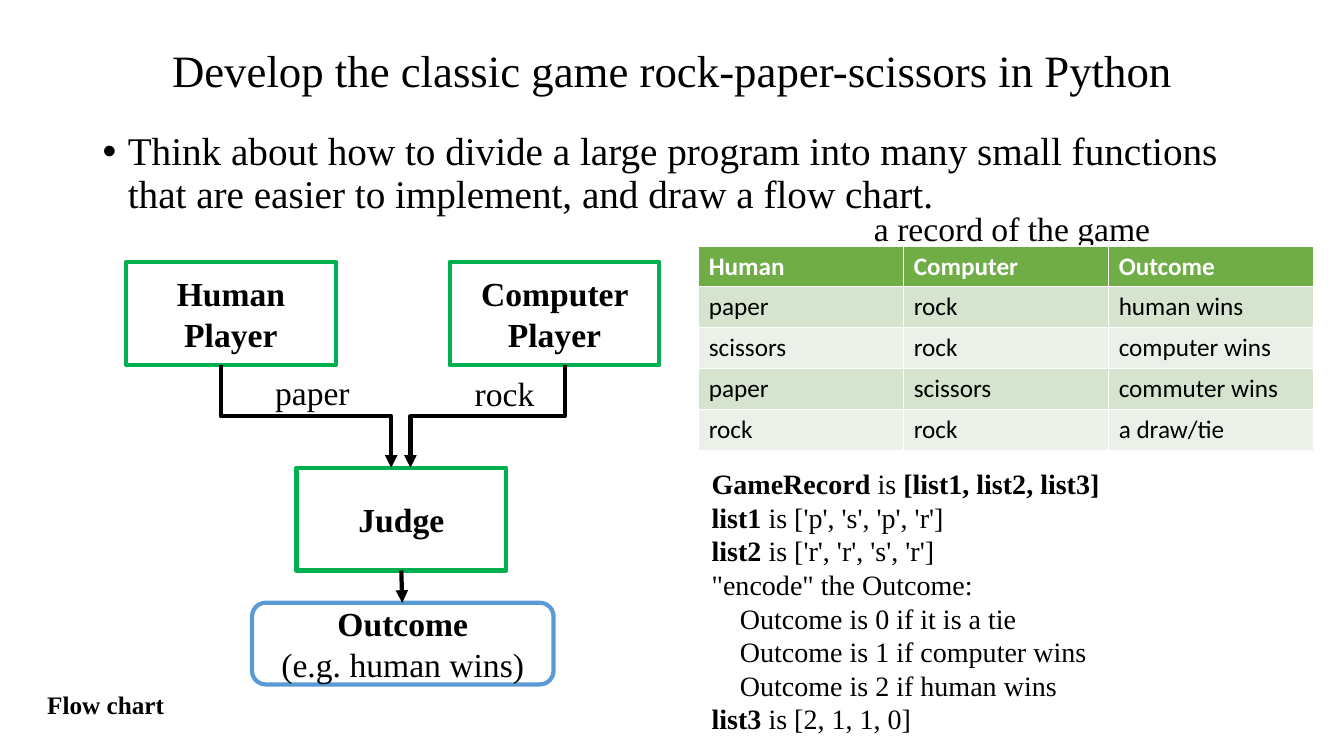
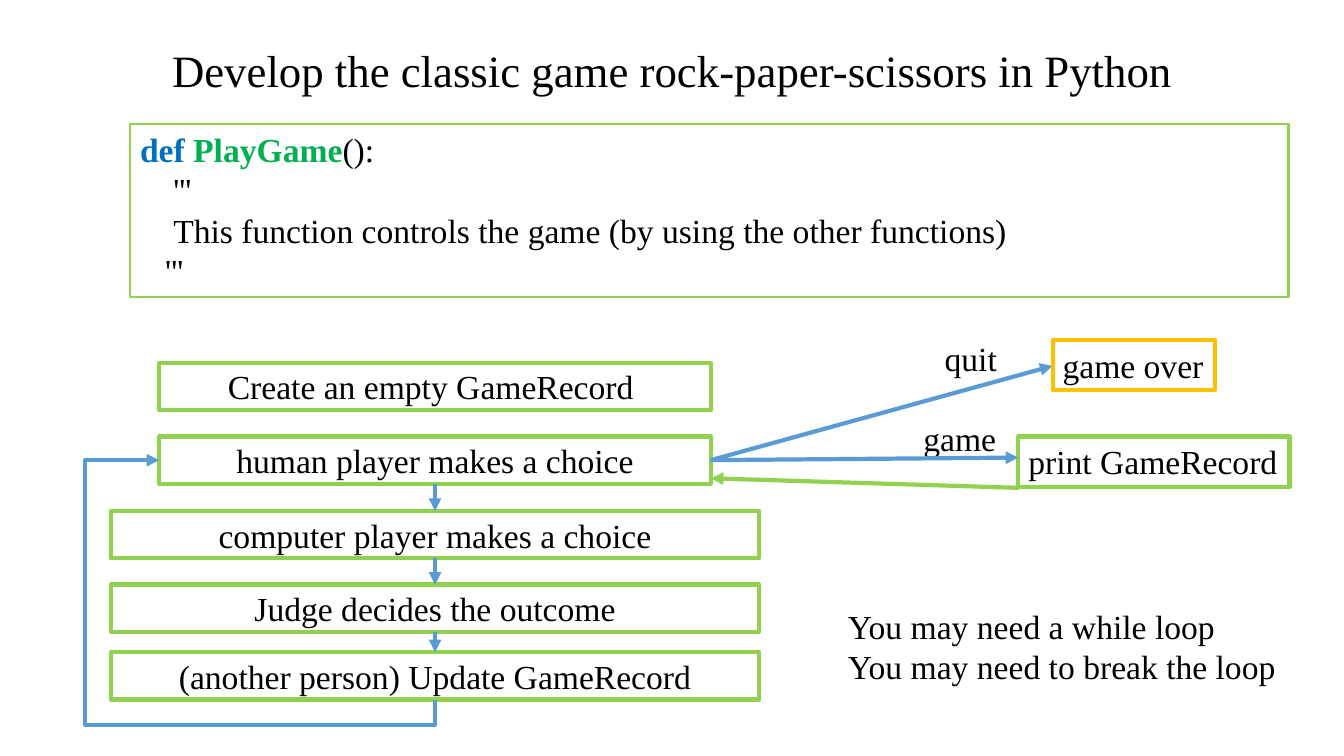
from pptx import Presentation
from pptx.dml.color import RGBColor
from pptx.enum.shapes import MSO_CONNECTOR, MSO_SHAPE
from pptx.enum.text import MSO_ANCHOR, MSO_AUTO_SIZE, PP_ALIGN
from pptx.oxml.ns import qn
from pptx.util import Inches, Pt
from lxml.etree import SubElement

BLACK, WHITE = "000000", "FFFFFF"
GREEN, LIME, BLUE, GOLD = "00B050", "92D050", "5B9BD5", "FFC000"
KEYWORD, HEADER, BAND_DARK, BAND_LIGHT = "0070C0", "70AD47", "D5E3CF", "EBF1E9"
SERIF, SANS = "Times New Roman", "Calibri"
BOLD = {"bold": True}
CENTER = {"alignment": PP_ALIGN.CENTER}
MIDDLE = {"vertical_anchor": MSO_ANCHOR.MIDDLE}
FIT = {"word_wrap": False, "auto_size": MSO_AUTO_SIZE.SHAPE_TO_FIT_TEXT}
TITLE = "Develop the classic game rock-paper-scissors in Python"


def rgb(hex_color):
    return RGBColor.from_string(hex_color)


def apply(target, values):
    for name, value in values.items():
        setattr(target, name, value)


# Text: each line is a string or a list of (text, font values) runs
def write(frame, lines, size=24, font=None, para=None, layout=None, indents=None):
    apply(frame, {"word_wrap": True, **(layout or {})})
    for index, line in enumerate(lines):
        paragraph = frame.paragraphs[0] if index == 0 else frame.add_paragraph()
        apply(paragraph, para or {})
        if indents and indents[index]:
            paragraph._p.get_or_add_pPr().set("marL", str(Inches(indents[index])))
        for text, extra in [(line, {})] if isinstance(line, str) else line:
            run = paragraph.add_run()
            run.text = text
            values = {"name": SERIF, "size": Pt(size), "color": BLACK,
                      **(font or {}), **extra}
            run.font.color.rgb = rgb(values.pop("color"))
            apply(run.font, values)


def add_text(slide, box, lines, **style):
    text_box = slide.shapes.add_textbox(*map(Inches, box))
    write(text_box.text_frame, lines, **style)
    return text_box


def add_label(slide, box, lines, **style):
    return add_text(slide, box, lines, layout=FIT, **style)


def add_box(slide, box, lines, color, width=3, preset=MSO_SHAPE.RECTANGLE, **style):
    shape = slide.shapes.add_shape(preset, *map(Inches, box))
    shape.shadow.inherit = False
    shape.fill.background()
    shape.line.color.rgb = rgb(color)
    shape.line.width = Pt(width)
    write(shape.text_frame, lines, **{"para": CENTER, "layout": MIDDLE, **style})


# Arrows
def add_arrow(slide, start, end, color, kind=MSO_CONNECTOR.STRAIGHT):
    arrow = slide.shapes.add_connector(kind, *map(Inches, (*start, *end)))
    arrow.line.color.rgb = rgb(color)
    arrow.line.width = Pt(3)
    SubElement(arrow.line._get_or_add_ln(), qn("a:tailEnd"), type="triangle")
    SubElement(arrow._element.spPr, qn("a:effectLst"))
    return arrow


def add_elbow(slide, start, end, color, turn, flip, preset="bentConnector3", adjust=()):
    """An elbow that leaves vertically: its frame is turned about its centre."""
    (x1, y1), (x2, y2) = start, end
    middle_x, middle_y = (x1 + x2) / 2, (y1 + y2) / 2
    half_w, half_h = abs(y2 - y1) / 2, abs(x2 - x1) / 2
    elbow = add_arrow(slide, (middle_x - half_w, middle_y - half_h),
                      (middle_x + half_w, middle_y + half_h), color, MSO_CONNECTOR.ELBOW)
    frame = elbow._element.spPr.find(qn("a:xfrm"))
    frame.set("rot", str(turn * 60000))
    if flip:
        frame.set("flipH", "1")
    geometry = elbow._element.spPr.find(qn("a:prstGeom"))
    geometry.set("prst", preset)
    for number, share in enumerate(adjust, 1):
        SubElement(geometry.find(qn("a:avLst")), qn("a:gd"), name=f"adj{number}",
                   fmla=f"val {round(share * 100000)}")


# Shared start of each slide
def new_slide(deck):
    slide = deck.slides.add_slide(deck.slide_layouts[6])
    add_text(slide, (0.92, 0, 11.5, 1.45), [TITLE], size=32, layout=MIDDLE,
             para={**CENTER, "line_spacing": 0.9})
    return slide


def task_bullet(slide, box):
    task = add_text(slide, box, [
        "Think about how to divide a large program into many small functions "
        "that are easier to implement, and draw a flow chart."],
        size=28, para={"line_spacing": 0.9, "space_before": Pt(10)}, indents=[0.25])
    properties = task.text_frame.paragraphs[0]._p.pPr
    properties.set("indent", str(-Inches(0.25)))
    SubElement(properties, qn("a:buFont"), typeface="Arial")
    SubElement(properties, qn("a:buChar"), char="\u2022")


def judge_chart(slide, box):
    left, top, width, height = box
    role_w, role_h = 2.08, 1.02
    judge_x, judge_y = left + 1.69, top + 2.04
    outcome_y = top + 3.38

    # Roles
    for x, y, role in ((left, top, "Human Player"),
                       (left + width - role_w, top, "Computer Player"),
                       (judge_x, judge_y, "Judge")):
        add_box(slide, (x, y, role_w, role_h), [role], GREEN, font=BOLD)

    # Choices handed to the judge
    add_elbow(slide, (left + 0.94, top + role_h), (judge_x + 0.94, judge_y),
              BLACK, 270, True)
    add_elbow(slide, (left + 4.35, top + role_h), (judge_x + 1.13, judge_y),
              BLACK, 90, False)
    add_label(slide, (left + 1.38, top + 1.04, 0.95, 0.5), ["paper"])
    add_label(slide, (left + 3.36, top + 1.05, 0.8, 0.5), ["rock"])

    # Outcome
    add_box(slide, (left + 1.25, outcome_y, 2.99, height - 3.38),
            [[("Outcome", BOLD)], "(e.g. human wins)"], BLUE,
            preset=MSO_SHAPE.ROUNDED_RECTANGLE)
    add_arrow(slide, (judge_x + role_w / 2, judge_y + role_h),
              (left + 2.74, outcome_y), BLACK)
    add_label(slide, (left - 0.88, top + 4.19, 1.37, 0.4), ["Flow chart"],
              size=18, font=BOLD)


def record_table(slide, box):
    left, top, width, height = box
    add_label(slide, (left + 1.64, top - 0.43, 2.96, 0.5), ["a record of the game"])
    rounds = [("Human", "Computer", "Outcome"),
              ("paper", "rock", "human wins"),
              ("scissors", "rock", "computer wins"),
              ("paper", "scissors", "commuter wins"),
              ("rock", "rock", "a draw/tie")]
    record = slide.shapes.add_table(len(rounds), 3, *map(Inches, box)).table
    for column in record.columns:
        column.width = Inches(width / 3)
    for r, entries in enumerate(rounds):
        record.rows[r].height = Inches(height / len(rounds))
        band = HEADER if r == 0 else BAND_DARK if r % 2 else BAND_LIGHT
        for c, entry in enumerate(entries):
            cell = record.cell(r, c)
            cell.fill.solid()
            cell.fill.fore_color.rgb = rgb(band)
            write(cell.text_frame, [entry], size=18, font={
                "name": SANS, "bold": r == 0, "color": BLACK if r else WHITE})


def record_encoding(slide, box):
    add_label(slide, box, [
        [("GameRecord ", BOLD), ("is", {}), (" [list1, list2, list3]", BOLD)],
        [("list1 ", BOLD), ("is ['p', 's', 'p', 'r']", {})],
        [("list2 ", BOLD), ("is ['r', 'r', 's', 'r']", {})],
        '"encode" the Outcome:',
        "Outcome is 0 if it is a tie",
        "Outcome is 1 if computer wins",
        "Outcome is 2 if human wins",
        [("list3 ", BOLD), ("is [2, 1, 1, 0]", {})],
    ], size=20, indents=[0] * 4 + [0.28] * 3 + [0])


def play_game_code(slide, box):
    add_box(slide, box, [
        [("def ", {**BOLD, "color": KEYWORD}), ("PlayGame", {**BOLD, "color": GREEN}),
         ("():", {})],
        "'''",
        "This function controls the game (by using the other functions)",
        "'''",
    ], LIME, width=1.5, para={"alignment": PP_ALIGN.LEFT},
        layout={"vertical_anchor": MSO_ANCHOR.TOP}, indents=[0, 0.33, 0.33, 0.25])


def game_loop(slide, box):
    left, top, width, height = box
    step_h, inset = 0.47, 0.48
    center = left + width / 2
    human_y = top + 0.73
    human_mid = human_y + step_h / 2

    # Steps
    steps = [(0, inset, "Create an empty GameRecord "),
             (0.73, inset, "human player makes a choice"),
             (1.47, 0, "computer player makes a choice"),
             (2.2, 0, "Judge decides the outcome"),
             (height - step_h, 0, "(another person) Update GameRecord")]
    for offset, margin, step in steps:
        add_box(slide, (left + margin, top + offset, width - 2 * margin, step_h),
                [step], LIME)
    for (above, *_), (below, *_) in zip(steps[1:], steps[2:]):
        add_arrow(slide, (center, top + above + step_h), (center, top + below), BLUE)

    # Way back to the next round
    add_elbow(slide, (center, top + height), (left + inset, human_mid), BLUE,
              90, True, "bentConnector4", (-0.106, 1.268))
    return left + width - inset, human_mid


def commands(slide, box, choice):
    left, top, width, height = box
    boxed = {"para": {"alignment": PP_ALIGN.LEFT},
             "layout": {**FIT, "vertical_anchor": MSO_ANCHOR.TOP}}
    over_x, print_x, print_y = left + 1.38, left + 1.04, top + height - 0.5
    choice_x, choice_y = choice

    # Quit
    add_arrow(slide, choice, (over_x, top + 0.26), BLUE)
    add_label(slide, (left + 0.21, top - 0.07, 0.72, 0.5), ["quit"])
    add_box(slide, (over_x, top, 1.61, 0.5), ["game over"], GOLD, **boxed)

    # Show the record and return
    add_box(slide, (print_x, print_y, width - 1.04, 0.5), ["print GameRecord"],
            LIME, **boxed)
    add_label(slide, (left, print_y - 0.23, 0.93, 0.5), ["game"])
    add_arrow(slide, choice, (print_x, print_y + 0.21), BLUE)
    add_arrow(slide, (print_x, print_y + 0.51), (choice_x, choice_y + 0.18), LIME)


def task_slide(deck):
    slide = new_slide(deck)
    task_bullet(slide, (0.92, 1.26, 11.5, 1.01))
    judge_chart(slide, (1.25, 2.6, 5.29, 4.19))
    record_table(slide, (6.93, 2.44, 6.1, 2.03))
    record_encoding(slide, (6.96, 4.58, 4.16, 2.79))


def control_slide(deck):
    slide = new_slide(deck)
    play_game_code(slide, (1.29, 1.23, 11.49, 1.72))
    choice = game_loop(slide, (1.1, 3.6, 6.43, 3.34))
    commands(slide, (9.06, 3.37, 3.73, 1.46), choice)
    add_label(slide, (8.31, 5.96, 4.48, 0.91),
              ["You may need a while loop", "You may need to break the loop"])


deck = Presentation()
apply(deck, {"slide_width": Inches(13.33), "slide_height": Inches(7.5)})
task_slide(deck)
control_slide(deck)
deck.save("out.pptx")
